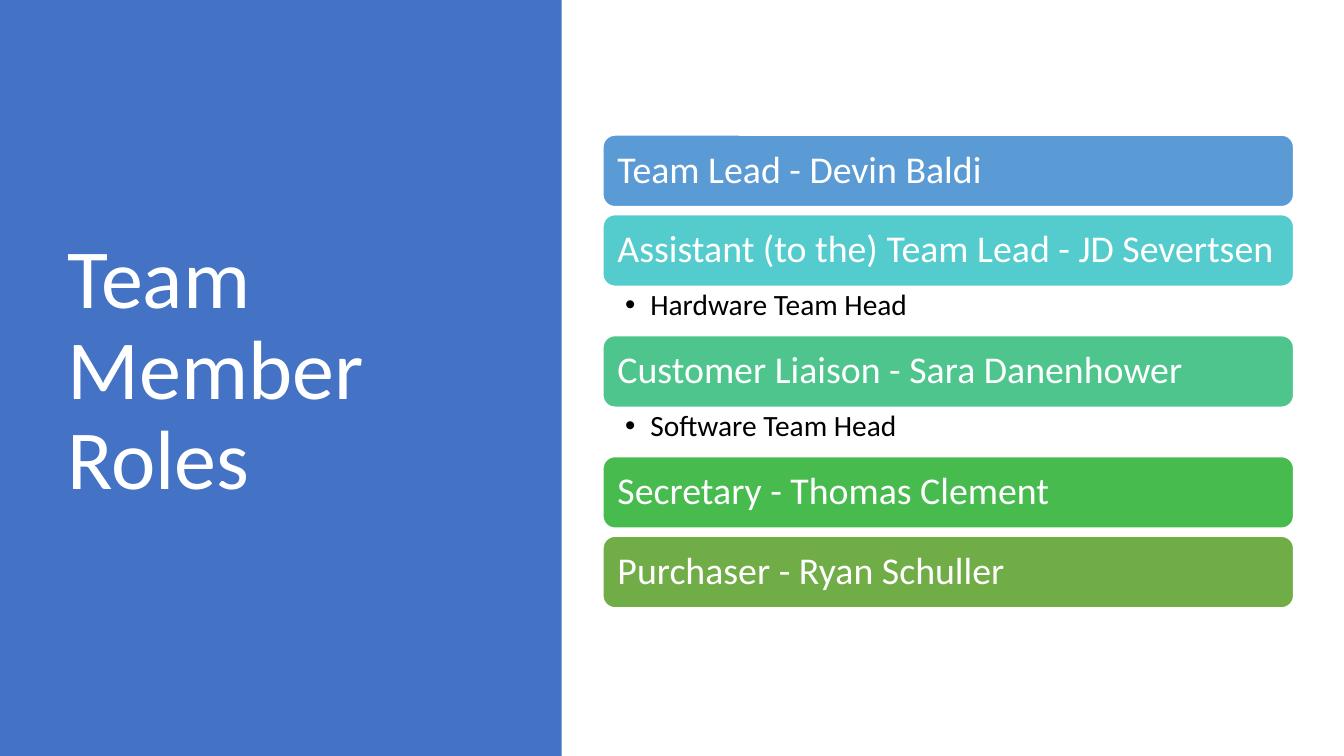
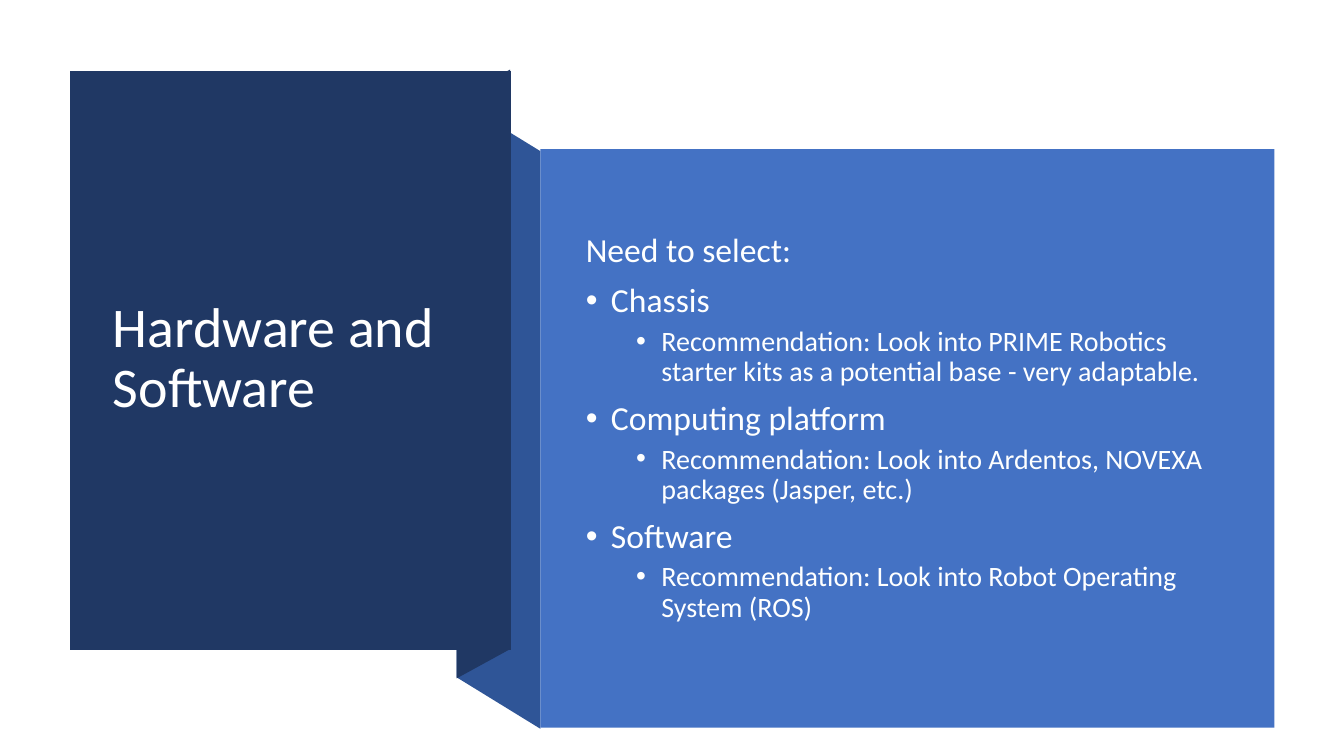
from dataclasses import dataclass

from lxml import etree
from pptx import Presentation
from pptx.dml.color import RGBColor
from pptx.enum.shapes import MSO_SHAPE
from pptx.enum.text import MSO_ANCHOR, MSO_AUTO_SIZE, PP_ALIGN
from pptx.oxml.ns import qn
from pptx.util import Inches, Pt

RECTANGLE, ROUNDED = MSO_SHAPE.RECTANGLE, MSO_SHAPE.ROUNDED_RECTANGLE
TOP, MIDDLE = MSO_ANCHOR.TOP, MSO_ANCHOR.MIDDLE
LEFT, NO_FIT = PP_ALIGN.LEFT, MSO_AUTO_SIZE.NONE


@dataclass(frozen=True)
class Theme:
    """Colours and type sizes shared by the slides."""
    font: str = "Calibri"
    white: str = "FFFFFF"
    body_white: str = "FEFFFF"
    black: str = "000000"
    blue: str = "4472C4"
    fold_blue: str = "2F5597"
    navy: str = "203864"
    roles: tuple = ("5B9BD5", "54CCCD", "4DC58D", "48BB4F", "70AD47")
    title: int = 60
    panel_title: int = 40
    role: int = 27
    duty: int = 21
    item: int = 24
    detail: int = 20


THEME = Theme()


def write(box, text, size, color=THEME.white, anchor=MIDDLE, insets=(0.1, 0.05, 0.1, 0.05),
          level=0, indent=0, bullet=False, before=0):
    """Add one formatted paragraph to a box, filling its empty first one if there is one."""
    frame = box.text_frame
    frame.word_wrap, frame.auto_size, frame.vertical_anchor = True, NO_FIT, anchor
    (frame.margin_left, frame.margin_top,
     frame.margin_right, frame.margin_bottom) = map(Inches, insets)
    para = frame.paragraphs[-1]
    if para.runs:
        para = frame.add_paragraph()
    para.level, para.alignment, para.line_spacing = level, LEFT, 0.9
    para.space_before, para.space_after = Pt(before), Pt(0)
    props = para._p.get_or_add_pPr()
    props.set("marL", str(Inches(indent)))
    props.set("indent", str(Inches(-0.25 if bullet else 0)))
    if bullet:
        etree.SubElement(props, qn("a:buFont")).set("typeface", "Arial")
        etree.SubElement(props, qn("a:buChar")).set("char", "•")
    else:
        etree.SubElement(props, qn("a:buNone"))
    span = para.add_run()
    span.text = text
    span.font.name, span.font.size = THEME.font, Pt(size)
    span.font.color.rgb = RGBColor.from_string(color)


def paint(shape, fill, line=None):
    """Give a shape a flat fill, an optional 1 pt outline and no shadow."""
    shape.shadow.inherit = False
    shape.fill.solid()
    shape.fill.fore_color.rgb = RGBColor.from_string(fill)
    if line:
        shape.line.color.rgb = RGBColor.from_string(line)
        shape.line.width = Pt(1)
    else:
        shape.line.fill.background()


deck = Presentation()
deck.slide_width, deck.slide_height = Inches(13.33), Inches(7.5)
TITLE_AND_BODY, TITLE_ONLY = deck.slide_layouts[1], deck.slide_layouts[5]

# Team member roles
page = deck.slides.add_slide(TITLE_ONLY)
shapes = page.shapes
side_panel = shapes.add_shape(RECTANGLE, 0, 0, Inches(5.57), deck.slide_height)
paint(side_panel, THEME.blue)

title = shapes.title
title.left, title.top, title.width, title.height = map(Inches, (0.57, 0.68, 4.16, 6.02))
write(title, "Team Member Roles", THEME.title)
shapes._spTree.append(title._element)

ROLES = [
    ("Team Lead - Devin Baldi", None),
    ("Assistant (to the) Team Lead - JD Severtsen", "Hardware Team Head"),
    ("Customer Liaison - Sara Danenhower", "Software Team Head"),
    ("Secretary - Thomas Clement", None),
    ("Purchaser - Ryan Schuller", None),
]
ROLE_LEFT, ROLE_WIDTH, ROLE_HEIGHT = Inches(5.98), Inches(6.85), Inches(0.71)
DUTY_HEIGHT, ROLE_GAP = Inches(0.49), Inches(0.08)
top = Inches(1.34)
for (role, duty), color in zip(ROLES, THEME.roles):
    bar = shapes.add_shape(ROUNDED, ROLE_LEFT, top, ROLE_WIDTH, ROLE_HEIGHT)
    paint(bar, color, line=THEME.white)
    write(bar, role, THEME.role, insets=(0.11,) * 4)
    top += ROLE_HEIGHT
    if duty:
        duty_box = shapes.add_textbox(ROLE_LEFT, top, ROLE_WIDTH, DUTY_HEIGHT)
        write(duty_box, duty, THEME.duty, THEME.black, anchor=TOP,
              insets=(0.22, 0.04, 0.21, 0.04), level=1, indent=0.25, bullet=True)
    top += DUTY_HEIGHT if duty else ROLE_GAP

# Hardware and software
page = deck.slides.add_slide(TITLE_AND_BODY)
shapes = page.shapes
RIBBON = [
    (THEME.fold_blue, [(5.36, 7.23), (4.53, 6.72), (4.53, 0.99), (5.36, 1.5)]),
    (THEME.navy, [(5.06, 6.44), (4.53, 6.73), (4.53, 0.98), (5.06, 0.69)]),
    (THEME.navy, [(0.69, 0.7), (5.07, 0.7), (5.07, 6.45), (0.69, 6.45)]),
]
for color, corners in RIBBON:
    start, *others = [(Inches(x), Inches(y)) for x, y in corners]
    outline = shapes.build_freeform(*start)
    outline.add_line_segments(others, close=True)
    paint(outline.convert_to_shape(), color)
body_panel = shapes.add_shape(RECTANGLE, *map(Inches, (5.36, 1.48, 7.28, 5.74)))
paint(body_panel, THEME.blue)

title, body = shapes.title, page.placeholders[1]
title.left, title.top, title.width, title.height = map(Inches, (1.02, 1.07, 3.71, 4.99))
write(title, "Hardware and Software", THEME.panel_title)
body.left, body.top, body.width, body.height = map(Inches, (5.71, 1.88, 6.51, 4.74))
for placeholder in (title, body):
    shapes._spTree.append(placeholder._element)

SELECTIONS = [
    ("Chassis", "Look into PRIME Robotics starter kits as a potential base - very adaptable."),
    ("Computing platform", "Look into Ardentos, NOVEXA packages (Jasper, etc.)"),
    ("Software", "Look into Robot Operating System (ROS)"),
]
write(body, "Need to select:", THEME.item, THEME.body_white, before=10)
for item, advice in SELECTIONS:
    write(body, item, THEME.item, THEME.body_white, indent=0.25, bullet=True, before=10)
    write(body, f"Recommendation: {advice}", THEME.detail, THEME.body_white,
          level=1, indent=0.75, bullet=True, before=5)

deck.save("out.pptx")
